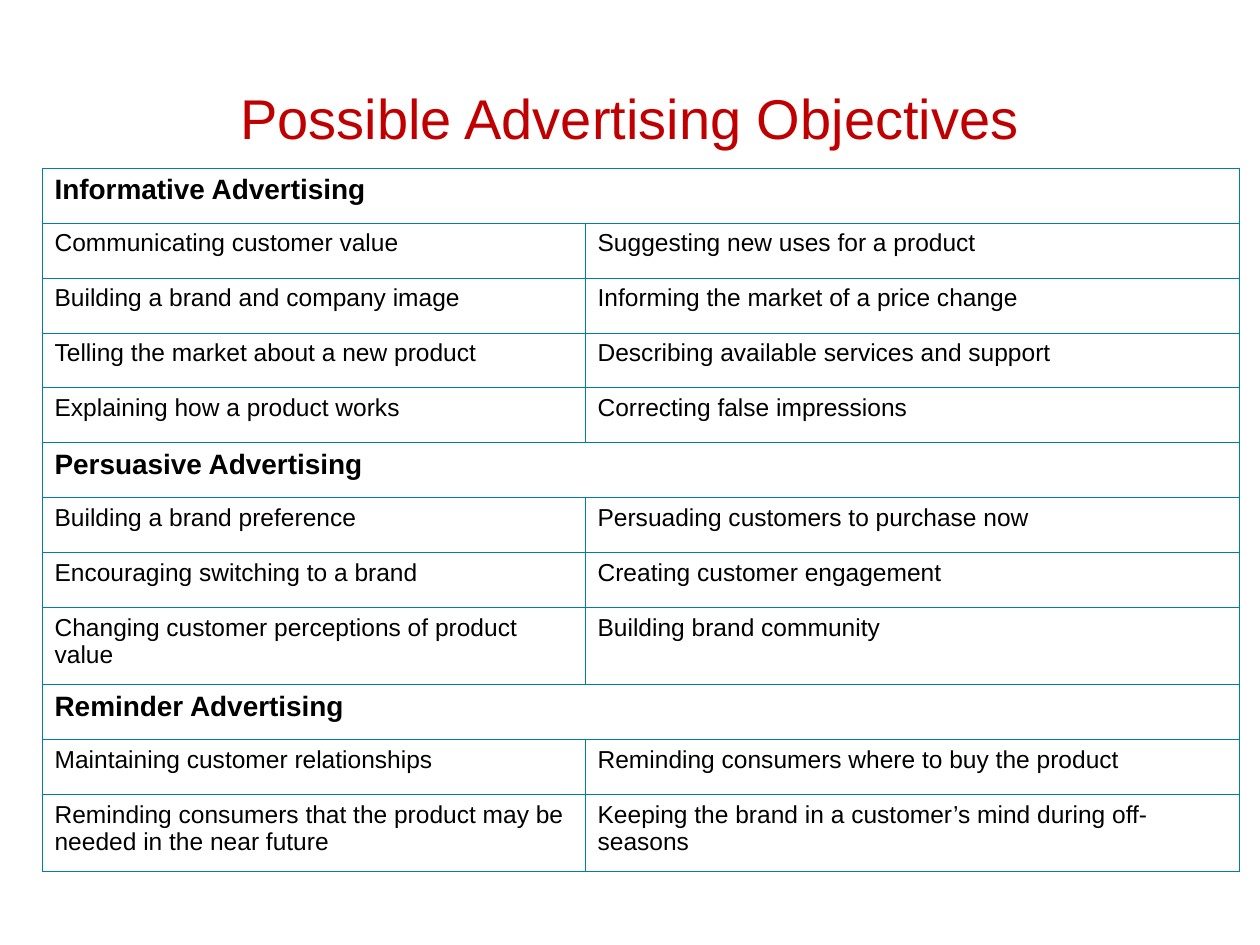
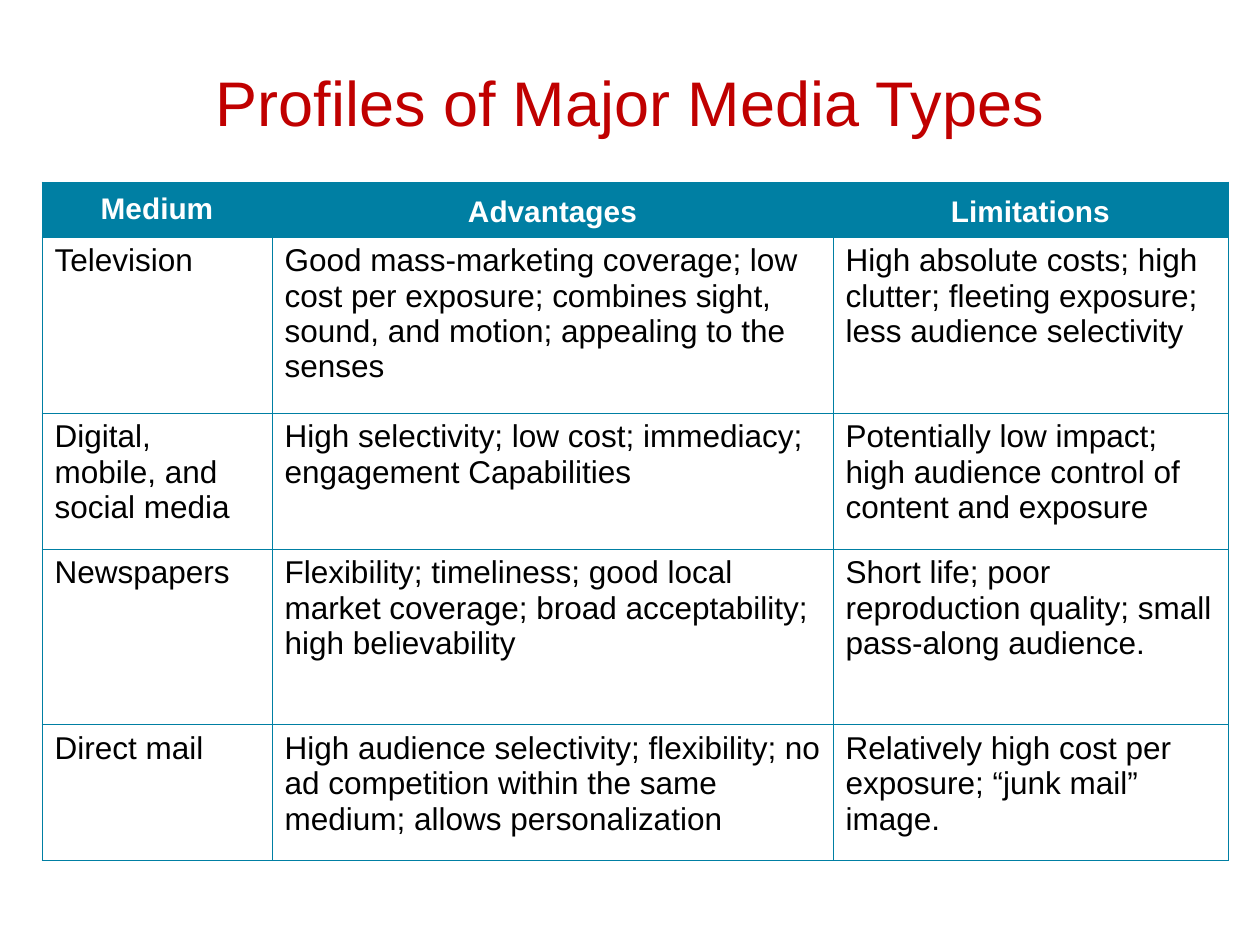
import dataclasses
import pptx
import pptx.dml.color
import pptx.enum.text
import pptx.oxml
import pptx.oxml.ns
import pptx.util

ALIGN = pptx.enum.text.PP_ALIGN
ANCHOR = pptx.enum.text.MSO_ANCHOR
EMU_PER_PX = 914400 / 126


@dataclasses.dataclass(frozen=True)
class Theme:
    """Colours, font and type sizes shared by the slides."""
    font: str = "Arial"
    title: str = "C00000"
    accent: str = "007FA3"
    ink: str = "000000"
    paper: str = "FFFFFF"
    rule_pt: float = 0.5
    objective_title_pt: int = 32
    media_title_pt: int = 36
    group_pt: int = 16
    objective_pt: int = 14
    header_pt: int = 17
    media_pt: int = 18


THEME = Theme()

OBJECTIVES = {
    "Informative Advertising": [
        ("Communicating customer value", "Suggesting new uses for a product"),
        ("Building a brand and company image", "Informing the market of a price change"),
        ("Telling the market about a new product", "Describing available services and support"),
        ("Explaining how a product works", "Correcting false impressions"),
    ],
    "Persuasive Advertising": [
        ("Building a brand preference", "Persuading customers to purchase now"),
        ("Encouraging switching to a brand", "Creating customer engagement"),
        ("Changing customer perceptions of product value", "Building brand community"),
    ],
    "Reminder Advertising": [
        ("Maintaining customer relationships", "Reminding consumers where to buy the product"),
        ("Reminding consumers that the product may be needed in the near future",
         "Keeping the brand in a customer’s mind during off-seasons"),
    ],
}

MEDIA_HEADER = ("Medium", "Advantages", "Limitations")
MEDIA = [
    ("Television",
     "Good mass-marketing coverage; low cost per exposure; combines sight, sound, "
     "and motion; appealing to the senses",
     "High absolute costs; high clutter; fleeting exposure; less audience selectivity"),
    ("Digital, mobile, and social media",
     "High selectivity; low cost; immediacy; engagement Capabilities",
     "Potentially low impact; high audience control of content and exposure"),
    ("Newspapers",
     "Flexibility; timeliness; good local market coverage; broad acceptability; "
     "high believability",
     "Short life; poor reproduction quality; small pass-along audience."),
    ("Direct mail",
     "High audience selectivity; flexibility; no ad competition within the same medium; "
     "allows personalization",
     "Relatively high cost per exposure; “junk mail” image."),
]


def px(length):
    """Turn pixels into EMU."""
    return pptx.util.Emu(round(length * EMU_PER_PX))


def rgb(colour):
    """Turn a hex string into a colour."""
    return pptx.dml.color.RGBColor.from_string(colour)


def write(frame, text, size, colour=THEME.ink, bold=False, align=ALIGN.LEFT, spacing=None):
    """Put one formatted paragraph into a text frame."""
    paragraph = frame.paragraphs[0]
    paragraph.alignment = align
    paragraph.line_spacing = spacing
    run = paragraph.add_run()
    run.text = text
    run.font.name = THEME.font
    run.font.size = pptx.util.Pt(size)
    run.font.bold = bold
    run.font.color.rgb = rgb(colour)


def add_titled_slide(deck, heading, top, size):
    """Add a slide with its title placeholder in place."""
    slide = deck.slides.add_slide(deck.slide_layouts[5])
    title = slide.shapes.title
    title.left, title.top, title.width, title.height = map(px, (63, top, 1134, 158))
    title.text_frame.auto_size = pptx.enum.text.MSO_AUTO_SIZE.NONE
    title.text_frame.vertical_anchor = ANCHOR.MIDDLE
    write(title.text_frame, heading, size, colour=THEME.title, align=ALIGN.CENTER)
    return slide


def rule_cell(cell, sides):
    """Draw the named sides of a cell and hide the others."""
    properties = cell._tc.get_or_add_tcPr()
    width = pptx.util.Pt(THEME.rule_pt)
    for position, side in enumerate("LRTB"):
        paint = (f'<a:solidFill><a:srgbClr val="{THEME.accent}"/></a:solidFill>'
                 if side in sides else "<a:noFill/>")
        line = pptx.oxml.parse_xml(
            f'<a:ln{side} {pptx.oxml.ns.nsdecls("a")} w="{width}">{paint}</a:ln{side}>')
        properties.insert(position, line)


def style_cell(cell, fill=THEME.paper, sides="LRTB"):
    """Fill and rule a cell."""
    cell.fill.solid()
    cell.fill.fore_color.rgb = rgb(fill)
    rule_cell(cell, sides)


def open_sides(column, count):
    """Name the ruled sides of a cell in a row without inner verticals."""
    return "TB" + "L" * (column == 0) + "R" * (column == count - 1)


def add_grid(slide, top, widths, heights):
    """Add an unbanded table with the given column widths and row heights."""
    frame = slide.shapes.add_table(len(heights), len(widths), px(42), px(top),
                                   px(sum(widths)), px(sum(heights)))
    grid = frame.table
    grid.first_row = grid.horz_banding = False
    for column, width in zip(grid.columns, widths):
        column.width = px(width)
    for row, height in zip(grid.rows, heights):
        row.height = px(height)
    return grid


def add_group_row(grid, row, group):
    """Write a group name across an open row."""
    for column in range(2):
        style_cell(grid.cell(row, column), sides=open_sides(column, 2))
    write(grid.cell(row, 0).text_frame, group, THEME.group_pt, bold=True)


def add_body_row(grid, row, entries, size):
    """Write a row of plain entries."""
    for column, entry in enumerate(entries):
        cell = grid.cell(row, column)
        style_cell(cell)
        write(cell.text_frame, entry, size)


def add_header_row(grid, labels):
    """Write the coloured header row."""
    for column, label in enumerate(labels):
        cell = grid.cell(0, column)
        style_cell(cell, THEME.accent, open_sides(column, len(labels)))
        cell.vertical_anchor = ANCHOR.MIDDLE
        cell.margin_left = cell.margin_right = px(9)
        cell.margin_top = cell.margin_bottom = 0
        write(cell.text_frame, label, THEME.header_pt, colour=THEME.paper, bold=True,
              align=ALIGN.CENTER, spacing=1.15 if column else None)


def build_objectives(deck):
    """Build the slide of advertising objectives."""
    slide = add_titled_slide(deck, "Possible Advertising Objectives", 38,
                             THEME.objective_title_pt)
    single, double = 55, 77
    heights = [single] * 8 + [double] + [single] * 2 + [double]
    grid = add_grid(slide, 168, (543, 654), heights)
    row = 0
    for group, pairs in OBJECTIVES.items():
        add_group_row(grid, row, group)
        for row, pair in enumerate(pairs, row + 1):
            add_body_row(grid, row, pair, THEME.objective_pt)
        row += 1


def build_media(deck):
    """Build the slide of media profiles."""
    slide = add_titled_slide(deck, "Profiles of Major Media Types", 22, THEME.media_title_pt)
    grid = add_grid(slide, 182, (230, 561, 395), [55] + [176, 136] * 2)
    grid.first_row = True
    add_header_row(grid, MEDIA_HEADER)
    for row, profile in enumerate(MEDIA, 1):
        add_body_row(grid, row, profile, THEME.media_pt)


def main():
    """Build and save the deck."""
    deck = pptx.Presentation()
    deck.slide_width, deck.slide_height = px(1260), px(945)
    build_objectives(deck)
    build_media(deck)
    deck.save("out.pptx")


if __name__ == "__main__":
    main()
